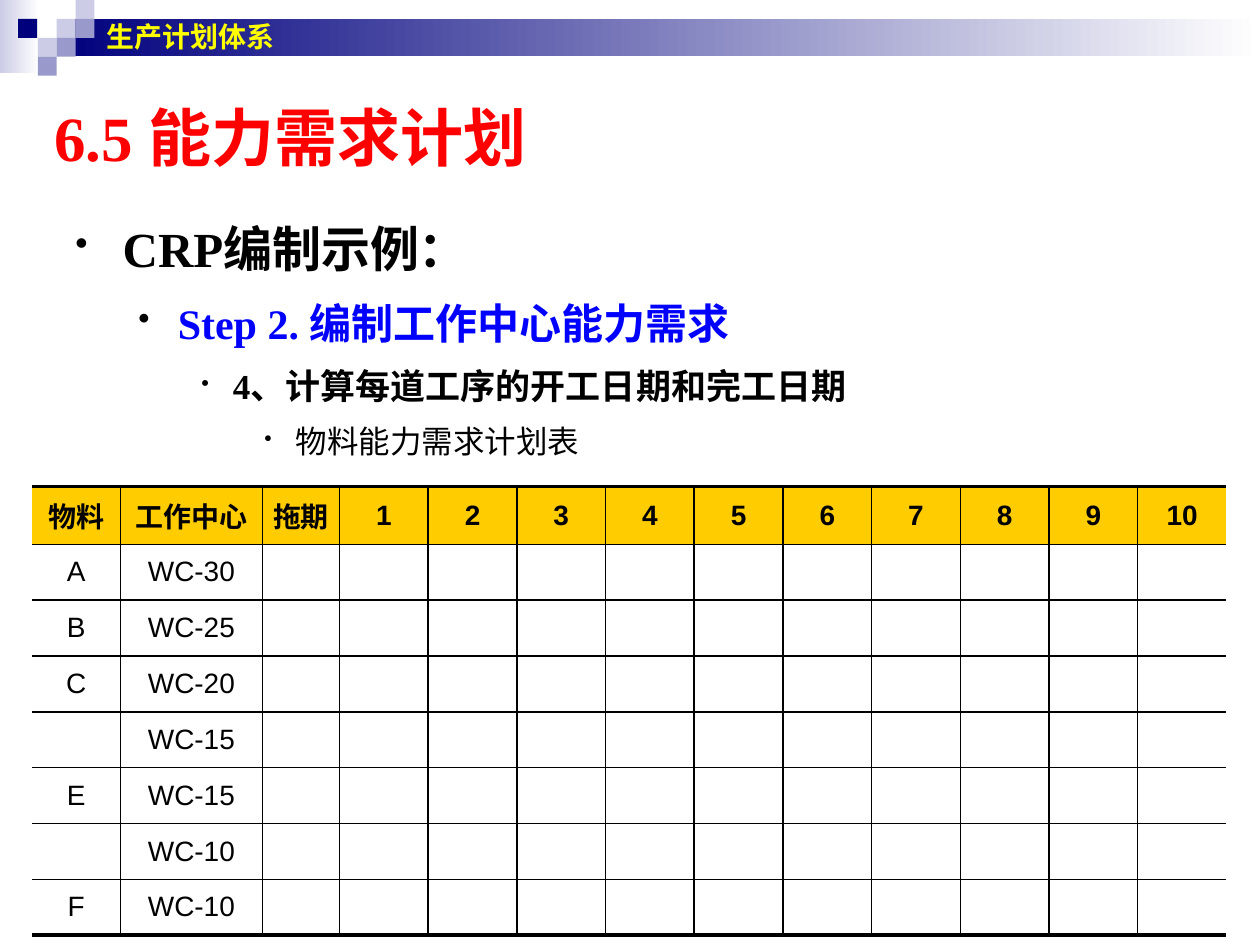
from pptx import Presentation
from pptx.dml.color import RGBColor
from pptx.enum.shapes import MSO_SHAPE as Shape
from pptx.enum.text import MSO_ANCHOR as Anchor, PP_ALIGN as Align
from pptx.oxml import parse_xml
from pptx.oxml.ns import nsdecls
from pptx.util import Pt

COLORS = {
    "navy": "00007D", "lavender": "CCCCE6", "violet": "9999CC", "white": "FFFFFF",
    "red": "FF0000", "blue": "0000FF", "yellow": "FFFF00", "gold": "FFCC00", "black": "000000",
}
SERIF, SANS = "Times New Roman", "Arial"


class SlideBuilder:
    """Holds the style and the current slide, and adds each kind of element."""

    def __init__(self, slide):
        self.slide = slide

    def rgb(self, color):
        return RGBColor.from_string(COLORS[color])

    def style(self, paragraph, size, color, font, bold):
        for run in paragraph.runs:
            run.font.size = Pt(size)
            run.font.name = font
            run.font.bold = bold
            run.font.color.rgb = self.rgb(color)

    def block(self, left, top, width, height, color, fade_to=None):
        block = self.slide.shapes.add_shape(
            Shape.RECTANGLE, Pt(left), Pt(top), Pt(width), Pt(height))
        block.shadow.inherit = False
        block.line.fill.background()
        if fade_to:
            block.fill.gradient()
            block.fill.gradient_angle = 0
            for stop, shade in zip(block.fill.gradient_stops, (color, fade_to)):
                stop.color.rgb = self.rgb(shade)
        else:
            block.fill.solid()
            block.fill.fore_color.rgb = self.rgb(color)

    def text_frame(self, left, top, width, height, anchor):
        frame = self.slide.shapes.add_textbox(
            Pt(left), Pt(top), Pt(width), Pt(height)).text_frame
        frame.word_wrap = True
        frame.vertical_anchor = anchor
        return frame

    def heading(self, text, left, top, width, height, size, color, font):
        frame = self.text_frame(left, top, width, height, Anchor.MIDDLE)
        frame.text = text
        self.style(frame.paragraphs[0], size, color, font, True)

    def outline(self, items, left, top, width, height):
        frame = self.text_frame(left, top, width, height, Anchor.TOP)
        frame.text = "\n".join(item[0] for item in items)
        for level, (paragraph, item) in enumerate(zip(frame.paragraphs, items)):
            _, size, color, bold, margin, hanging, bullet_size = item
            paragraph.level = level
            paragraph.line_spacing = 1.4
            properties = paragraph._p.get_or_add_pPr()
            properties.set("marL", str(Pt(margin)))
            properties.set("indent", str(-Pt(hanging)))
            for bullet in (
                f'<a:buClr {nsdecls("a")}><a:srgbClr val="{COLORS["black"]}"/></a:buClr>',
                f'<a:buSzPct {nsdecls("a")} val="{bullet_size * 1000}"/>',
                f'<a:buChar {nsdecls("a")} char="•"/>',
            ):
                properties.append(parse_xml(bullet))
            self.style(paragraph, size, color, SERIF, bold)

    def border(self, cell, side, width):
        if width:
            paint = f'<a:solidFill><a:srgbClr val="{COLORS["black"]}"/></a:solidFill>'
        else:
            paint = "<a:noFill/>"
        cell._tc.get_or_add_tcPr().append(parse_xml(
            f'<a:ln{side} {nsdecls("a")} w="{Pt(width)}">{paint}</a:ln{side}>'))

    def grid(self, rows, left, top, widths, heights):
        table = self.slide.shapes.add_table(
            len(rows), len(widths), Pt(left), Pt(top),
            Pt(sum(widths)), Pt(sum(heights))).table
        table.first_row = table.horz_banding = False
        for column, width in zip(table.columns, widths):
            column.width = Pt(width)
        last_row, last_column = len(rows) - 1, len(widths) - 1
        for r, (values, height) in enumerate(zip(rows, heights)):
            table.rows[r].height = Pt(height)
            for c in range(len(widths)):
                cell = table.cell(r, c)
                self.border(cell, "L", 1 if c else 0)
                self.border(cell, "R", 1 if c < last_column else 0)
                self.border(cell, "T", 1 if r else 2.25)
                self.border(cell, "B", 1 if r < last_row else 2.25)
                cell.fill.solid()
                cell.fill.fore_color.rgb = self.rgb("white" if r else "gold")
                cell.vertical_anchor = Anchor.MIDDLE
                cell.margin_left = cell.margin_right = Pt(2.9)
                cell.margin_top = cell.margin_bottom = Pt(3.6)
                if c < len(values):
                    cell.text = values[c]
                    paragraph = cell.text_frame.paragraphs[0]
                    paragraph.alignment = Align.CENTER
                    self.style(paragraph, 16, "black", SANS, r == 0)


def main():
    presentation = Presentation()
    presentation.slide_width, presentation.slide_height = Pt(720), Pt(540)
    builder = SlideBuilder(presentation.slides.add_slide(presentation.slide_layouts[6]))

    builder.block(0, 0, 22.5, 41.8, "lavender", "white")
    builder.block(32.4, 10.8, 687.6, 21.4, "navy", "white")
    tile = 10.8
    for left, row, color in (
        (32.4, 1, "lavender"), (43.2, 0, "lavender"), (43.2, 1, "violet"),
        (21.6, 2, "lavender"), (10.4, 1, "navy"), (32.4, 2, "violet"), (21.6, 3, "violet"),
    ):
        builder.block(left, row * tile, tile, tile, color)

    builder.heading("6.5 能力需求计划", 24, 54, 648, 48, 36, "red", SERIF)
    builder.outline([
        ("CRP编制示例：", 28, "black", True, 27, 27, 75),
        ("Step 2. 编制工作中心能力需求", 24, "blue", True, 58.5, 22.5, 80),
        ("4、计算每道工序的开工日期和完工日期", 20, "black", True, 90, 18, 65),
        ("物料能力需求计划表", 18, "black", False, 126, 18, 70),
    ], 36, 108, 660, 180)
    builder.heading("生产计划体系", 54, 0, 690, 42, 16, "yellow", SANS)

    periods = [str(period) for period in range(1, 11)]
    loads = [("A", 30), ("B", 25), ("C", 20), ("", 15), ("E", 15), ("", 10), ("F", 10)]
    rows = [["物料", "工作中心", "拖期", *periods]]
    rows += [[material, f"WC-{center}"] for material, center in loads]
    builder.grid(rows, 18.2, 277.9, [50.6, 81.2, 44] + [50.7] * len(periods),
                 [33.2] + [31.9] * len(loads))

    presentation.save("out.pptx")


if __name__ == "__main__":
    main()
